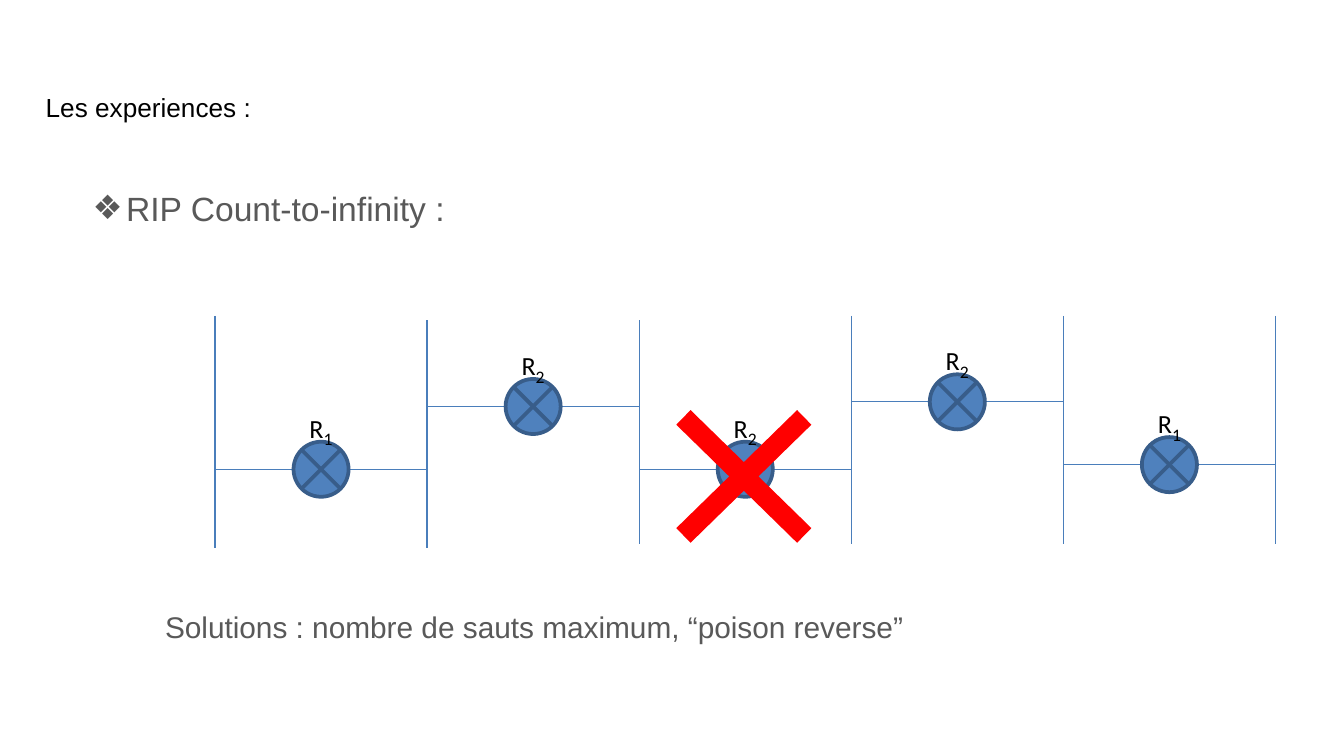
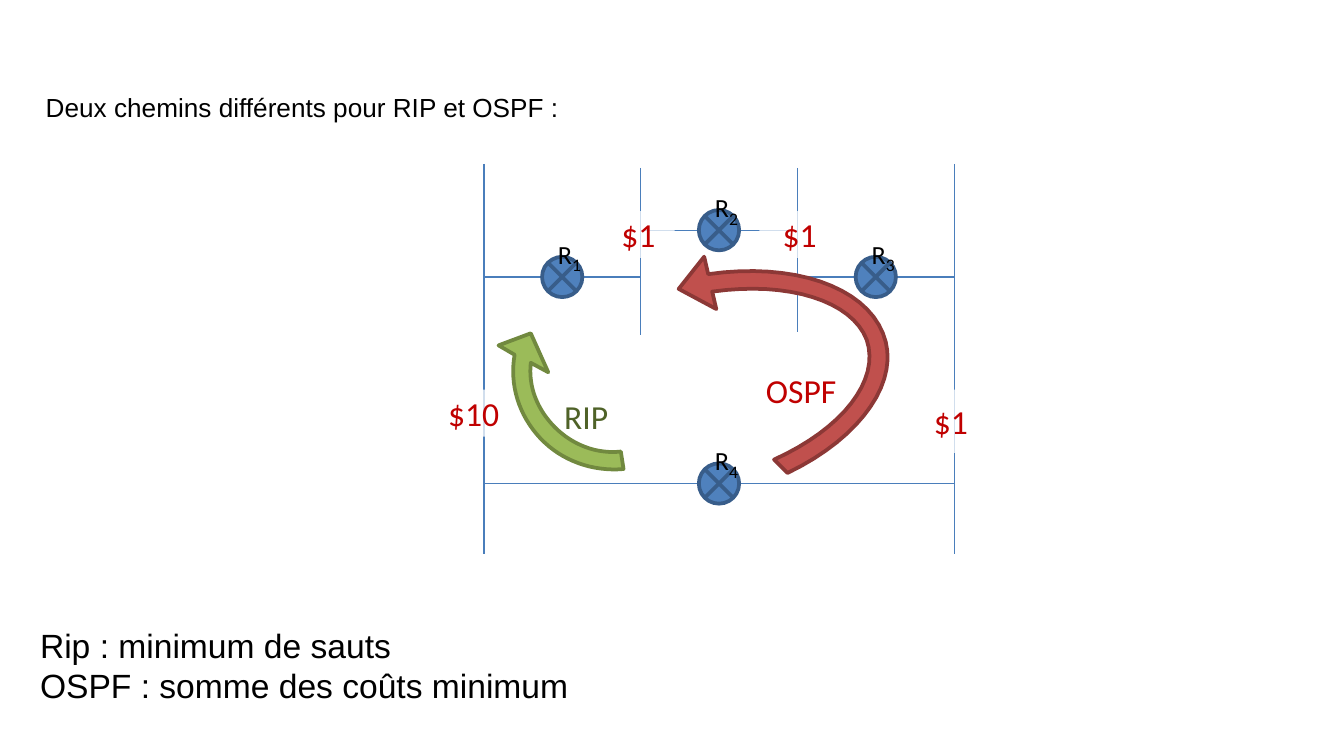
from dataclasses import dataclass

from lxml import etree
from pptx import Presentation
from pptx import util as u
from pptx.dml import color
from pptx.enum import shapes, text
from pptx.oxml import ns

CELL = u.Inches(0.1)
BLACK, GREY, WHITE, RED = "000000", "595959", "FFFFFF", "C00000"
WIRE, ROUTER, ROUTER_EDGE = "4A7EBB", "4F81BD", "385D8A"


@dataclass
class Box:
    """A region in grid cells, a hundred of which span the slide."""
    left: float
    top: float
    width: float
    height: float

    def spot(self, across, down):
        """Return the cell position at the given shares of the box."""
        return self.left + across * self.width, self.top + down * self.height

    def frame(self):
        """Return left, top, width and height as lengths."""
        return [cells(n) for n in (self.left, self.top, self.width, self.height)]


def cells(count):
    """Turn a number of grid cells into a length."""
    return u.Emu(round(count * CELL))


def rgb(value):
    """Turn a hex string into a colour."""
    return color.RGBColor.from_string(value)


def style_font(span, size, name, tint):
    """Set size, family and colour of a run."""
    span.font.size, span.font.name = u.Pt(size), name
    span.font.color.rgb = rgb(tint)


def write(shape, words, size, name, tint, inset=(1, 0.5), wrap=True):
    """Put styled text in a shape and return its text frame."""
    frame = shape.text_frame
    frame.text = words
    frame.word_wrap = wrap
    frame.auto_size = text.MSO_AUTO_SIZE.NONE if wrap else text.MSO_AUTO_SIZE.SHAPE_TO_FIT_TEXT
    frame.margin_left = frame.margin_right = cells(inset[0])
    frame.margin_top = frame.margin_bottom = cells(inset[1])
    for para in frame.paragraphs:
        for span in para.runs:
            style_font(span, size, name, tint)
    return frame


def add_text(page, box, words, size, name, tint, **options):
    """Add a text box and return its text frame."""
    return write(page.shapes.add_textbox(*box.frame()), words, size, name, tint, **options)


def paint(shape, fill, edge=None):
    """Give a shape a flat fill and an optional two-point outline."""
    shape.shadow.inherit = False
    shape.fill.solid()
    shape.fill.fore_color.rgb = rgb(fill)
    if edge:
        shape.line.color.rgb = rgb(edge)
        shape.line.width = u.Pt(2)
    else:
        shape.line.fill.background()


def add_page(deck, heading):
    """Add a title-only slide with its small heading."""
    page = deck.slides.add_slide(deck.slide_layouts[5])
    title = page.shapes.title
    title.left, title.top, title.width, title.height = Box(3.4, 4.85, 93.2, 6.3).frame()
    frame = write(title, heading, 14, "Arial", BLACK, inset=(0, 0))
    frame.vertical_anchor = text.MSO_ANCHOR.MIDDLE
    frame.paragraphs[0].alignment = text.PP_ALIGN.LEFT
    return page


def add_wire(page, start, end):
    """Draw a thin network line between two cell positions."""
    ends = [cells(n) for n in (*start, *end)]
    wire = page.shapes.add_connector(shapes.MSO_CONNECTOR.STRAIGHT, *ends)
    wire.line.color.rgb = rgb(WIRE)
    wire.line.width = u.Pt(0.75)
    etree.SubElement(wire._element.spPr, ns.qn("a:effectLst"))


def add_router(page, box, number):
    """Draw a router with its numbered label above it."""
    router = page.shapes.add_shape(
        shapes.MSO_SHAPE.FLOWCHART_SUMMING_JUNCTION, *box.frame())
    paint(router, ROUTER, ROUTER_EDGE)
    label = Box(box.left + 0.2, box.top - 0.73 * box.height, 4.2, 3.7)
    para = add_text(page, label, "R", 14, "Calibri", BLACK, wrap=False).paragraphs[0]
    index = para.add_run()
    index.text = str(number)
    style_font(index, 16.2, "Calibri", BLACK)
    index.font._element.set("baseline", "-25000")


def add_network(page, box, size, buses, links):
    """Draw evenly spaced buses and the routers that link them."""
    steps = len(buses) - 1
    for index, (top, bottom) in enumerate(buses):
        add_wire(page, box.spot(index / steps, top), box.spot(index / steps, bottom))
    for first, last, level, number in links:
        start, end = box.spot(first / steps, level), box.spot(last / steps, level)
        left = (start[0] + end[0] - size) / 2
        add_wire(page, start, (left, start[1]))
        add_wire(page, (left + size, end[1]), end)
        add_router(page, Box(left, start[1] - size / 2, size, size), number)


def add_cost(page, box, words):
    """Add a cost tag on a translucent white plate."""
    plate = page.shapes.add_shape(shapes.MSO_SHAPE.RECTANGLE, *box.frame())
    paint(plate, WHITE)
    tint = plate._element.spPr.find(".//" + ns.qn("a:srgbClr"))
    etree.SubElement(tint, ns.qn("a:alpha"), val="75000")
    frame = write(plate, words, 18, "Calibri", RED)
    frame.vertical_anchor = text.MSO_ANCHOR.MIDDLE
    frame.paragraphs[0].alignment = text.PP_ALIGN.CENTER


def trace(start, segments, steps=16):
    """Return outline points from corners (x, y) and cubic curves (three pairs)."""
    points = [start]
    for segment in segments:
        if len(segment) == 2:
            points.append(segment)
            continue
        knots = (*points[-1], *segment)
        for step in range(1, steps + 1):
            t = step / steps
            weights = ((1 - t) ** 3, 3 * t * (1 - t) ** 2, 3 * t * t * (1 - t), t ** 3)
            points.append(tuple(
                sum(weight * knot for weight, knot in zip(weights, knots[axis::2]))
                for axis in (0, 1)))
    return points


def add_route(page, corner, start, segments, fill, edge):
    """Draw a curved arrow whose points are tenths of a cell from a corner."""
    outline = [(cells(corner[0] + x / 10), cells(corner[1] + y / 10))
               for x, y in trace(start, segments)]
    builder = page.shapes.build_freeform(*outline[0], scale=1.0)
    builder.add_line_segments(outline[1:], close=True)
    paint(builder.convert_to_shape(), fill, edge)


def add_bullet(page, box, words):
    """Add a diamond-bulleted line."""
    para = add_text(page, box, words, 18, "Arial", GREY, inset=(1, 1)).paragraphs[0]
    properties = para._p.get_or_add_pPr()
    properties.set("marL", str(cells(5)))
    properties.set("indent", str(-cells(2.5)))
    tint = etree.SubElement(properties, ns.qn("a:buClr"))
    etree.SubElement(tint, ns.qn("a:srgbClr"), val=GREY)
    etree.SubElement(properties, ns.qn("a:buSzPts"), val="1800")
    etree.SubElement(properties, ns.qn("a:buFont"), typeface="Arial")
    etree.SubElement(properties, ns.qn("a:buChar"), char="❖")
    para.space_after = u.Pt(16)


def build_infinity(deck):
    """Build the count-to-infinity slide."""
    page = add_page(deck, "Les experiences :")
    add_bullet(page, Box(3.4, 13, 93.2, 32.1), "RIP Count-to-infinity :")
    add_text(page, Box(11.3, 44.3, 73.6, 11.9),
             "Solutions : nombre de sauts maximum, “poison reverse”",
             16, "Arial", GREY, inset=(1, 1))
    buses = [(0, 1), (0.02, 1), (0.02, 0.98)] + [(0, 0.98)] * 3
    levels = [(0.66, 1), (0.39, 2), (0.66, 2), (0.37, 2), (0.64, 1)]
    links = [(index, index + 1, *level) for index, level in enumerate(levels)]
    add_network(page, Box(16, 23.5, 78.9, 17.3), 4.1, buses, links)
    cross = page.shapes.add_shape(
        shapes.MSO_SHAPE.MATH_MULTIPLY, *Box(46.7, 27, 17.3, 16.9).frame())
    cross.adjustments[0] = 0.09
    paint(cross, "FF0000")


def build_paths(deck):
    """Build the slide that compares the two routes."""
    page = add_page(deck, "Deux chemins différents pour RIP et OSPF :")
    add_text(page, Box(2, 46, 45, 9.4),
             "Rip : minimum de sauts\nOSPF : somme des coûts minimum", 18, "Arial", BLACK)
    buses = [(0, 1), (0.01, 0.44), (0.01, 0.43), (0, 1)]
    links = [(0, 1, 0.29, 1), (1, 2, 0.17, 2), (2, 3, 0.29, 3), (0, 3, 0.82, 4)]
    add_network(page, Box(36, 12.2, 35, 29), 3, buses, links)
    costs = [(Box(31.5, 29, 7.5, 3.5), "$10"), (Box(44.8, 15.7, 5.4, 3.5), "$1"),
             (Box(56.5, 15.7, 6, 3.5), "$1"), (Box(67.5, 29, 6.5, 4.7), "$1")]
    for box, words in costs:
        add_cost(page, box, words)
    add_route(page, (37.1, 24.8), (93, 101), [
        (70, 103, 47, 95, 31, 78), (15, 61, 8, 38, 12, 16),
        (0, 9), (24, 0), (37, 29), (24, 22),
        (22, 40, 29, 57, 42, 70), (55, 83, 73, 90, 91, 88)], "9BBB59", "71893F")
    add_route(page, (50.5, 19.1), (81, 161), [
        (137, 134, 166, 91, 152, 57), (138, 22, 85, 4, 22, 13),
        (19, 0), (0, 24), (28, 39), (25, 26),
        (82, 18, 129, 33, 140, 62), (150, 92, 122, 128, 71, 151)], "C0504D", "8C3836")
    add_text(page, Box(41, 29, 6, 4), "RIP", 18, "Calibri", "4F6228", wrap=False)
    add_text(page, Box(56, 27, 8.5, 4), "OSPF", 18, "Calibri", RED, wrap=False)


def main():
    """Build and save the deck."""
    deck = Presentation()
    deck.slide_width, deck.slide_height = cells(100), cells(56.25)
    build_infinity(deck)
    build_paths(deck)
    deck.save("out.pptx")


if __name__ == "__main__":
    main()
